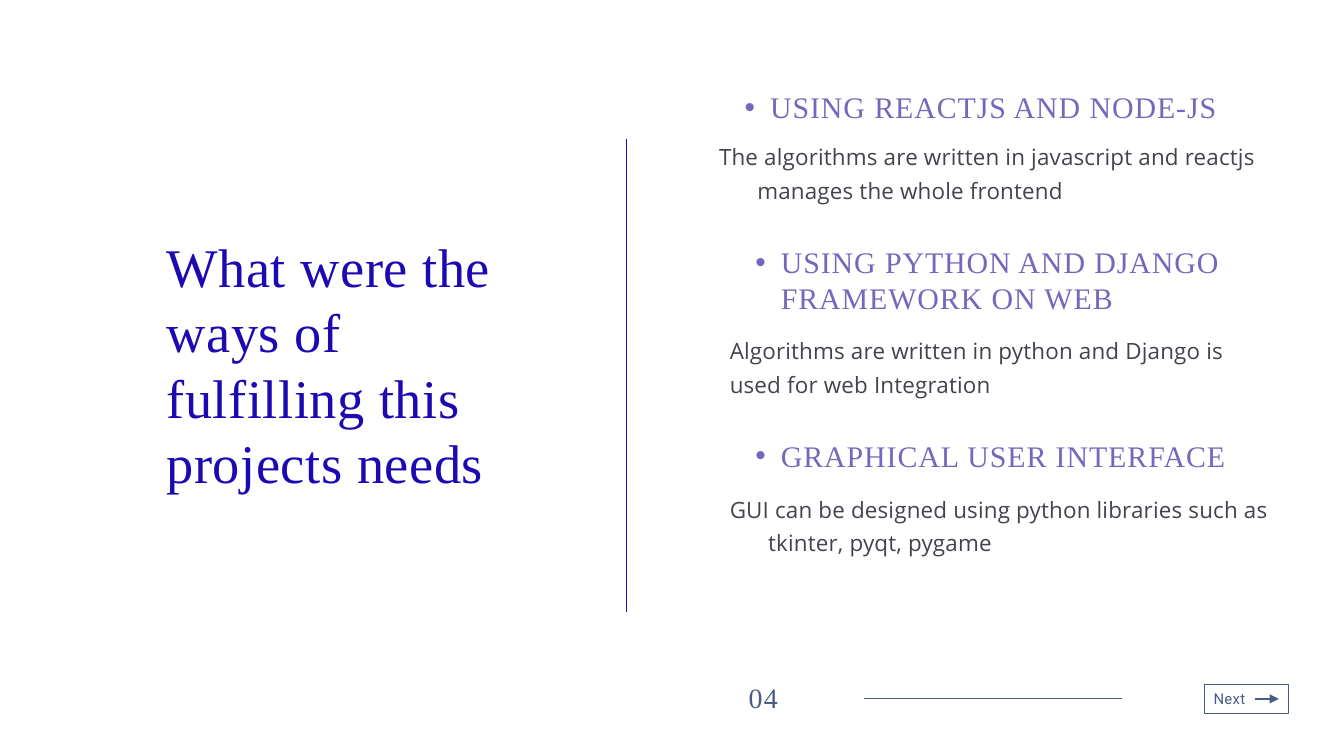
from collections import namedtuple
from dataclasses import dataclass

from lxml.etree import SubElement
from pptx import Presentation
from pptx.dml.color import RGBColor
from pptx.enum.shapes import MSO_CONNECTOR as Connector, MSO_SHAPE as Shape
from pptx.enum.text import MSO_AUTO_SIZE as AutoSize
from pptx.oxml.ns import qn
from pptx.util import Emu, Pt

SCALE = 9144
Box = namedtuple("Box", "left top width height")
Topic = namedtuple("Topic", "box heading_height body_top heading body hanging")


@dataclass(frozen=True)
class Theme:
    title: str = "1C09B2"
    heading: str = "7866BD"
    body: str = "46424C"
    footer: str = "4A5C84"
    serif: str = "Times New Roman"
    sans: str = "Open Sans"
    label: str = "Roboto"
    title_size: float = 58.3
    heading_size: int = 32
    body_size: int = 24
    number_size: int = 30
    label_size: int = 16
    hairline: float = 0.72
    arrow_line: float = 1.44


THEME = Theme()

TOPICS = [
    Topic(Box(1070, 132, 817, 168), 52, 71, "USING REACTJS AND NODE-JS",
          "The algorithms are written in javascript and reactjs "
          "manages the whole frontend", 57),
    Topic(Box(1086, 363, 817, 224), 105, 129,
          "USING PYTHON AND DJANGO FRAMEWORK ON WEB",
          "Algorithms are written in python and Django is "
          "used for web Integration", 0),
    Topic(Box(1086, 651, 817, 172), 52, 77, "GRAPHICAL USER INTERFACE",
          "GUI can be designed using python libraries such as "
          "tkinter, pyqt, pygame", 57),
]


def px(value):
    return Emu(round(value * SCALE))


def add_text(page, box, text, *, font, size, color, leading, spacing,
             margin=0, hanging=0, bullet=None, level=0):
    frame = page.shapes.add_textbox(*map(px, box)).text_frame
    frame.word_wrap = True
    frame.auto_size = AutoSize.SHAPE_TO_FIT_TEXT
    frame.margin_left = frame.margin_top = 0
    frame.margin_right = frame.margin_bottom = 0
    para = frame.paragraphs[0]
    para.level = level
    para.line_spacing = Pt(leading)
    properties = para._p.get_or_add_pPr()
    properties.set("marL", str(px(margin)))
    properties.set("indent", str(px(-hanging)))
    if bullet:
        SubElement(properties, qn("a:buFont")).set("typeface", "Arial")
        SubElement(properties, qn("a:buChar")).set("char", bullet)
    span = para.add_run()
    span.text = text
    span.font.name = font
    span.font.size = Pt(size)
    span.font.color.rgb = RGBColor.from_string(color)
    span._r.get_or_add_rPr().set("spc", str(round(spacing * 100)))


def add_line(page, start, end, color, width, arrow=False):
    line = page.shapes.add_connector(
        Connector.STRAIGHT, *map(px, (*start, *end)))
    line.line.color.rgb = RGBColor.from_string(color)
    line.line.width = Pt(width)
    SubElement(line._element.spPr, qn("a:effectLst"))
    if arrow:
        head = SubElement(line.line._get_or_add_ln(), qn("a:tailEnd"))
        for name, value in (("type", "triangle"), ("w", "lg"), ("len", "lg")):
            head.set(name, value)


def add_title(page, box):
    add_text(page, box, "What were the ways of fulfilling this projects needs",
             font=THEME.serif, size=THEME.title_size, color=THEME.title,
             leading=70, spacing=0.6)


def add_topic(page, topic):
    left, top, width, height = topic.box
    add_text(page, Box(left, top, width, topic.heading_height), topic.heading,
             font=THEME.serif, size=THEME.heading_size, color=THEME.heading,
             leading=38.4, spacing=1, margin=76, hanging=38, bullet="•", level=1)
    body_box = Box(left, top + topic.body_top, width, height - topic.body_top)
    add_text(page, body_box, topic.body,
             font=THEME.sans, size=THEME.body_size, color=THEME.body,
             leading=36, spacing=0.2, margin=topic.hanging, hanging=topic.hanging)


def add_next_button(page, box):
    left, top, width, height = box
    frame = page.shapes.add_shape(Shape.RECTANGLE, *map(px, box))
    frame.shadow.inherit = False
    frame.fill.background()
    frame.line.color.rgb = RGBColor.from_string(THEME.footer)
    frame.line.width = Pt(THEME.hairline)
    middle = top + height / 2
    add_line(page, (left + 76, middle), (left + 111, middle),
             THEME.footer, THEME.arrow_line, arrow=True)
    add_text(page, Box(left + 14, top + 9, 58, 25), "Next",
             font=THEME.label, size=THEME.label_size, color=THEME.footer,
             leading=17.6, spacing=0.3)


def add_footer(page, box):
    left, top, width, height = box
    add_text(page, Box(left, top, 49, height), "04",
             font=THEME.serif, size=THEME.number_size, color=THEME.footer,
             leading=33, spacing=1.5)
    add_line(page, (left + 171, top + 22.5), (left + 556, top + 22.5),
             THEME.footer, THEME.hairline)
    add_next_button(page, Box(left + width - 125, top + 2, 125, 42))


def main():
    deck = Presentation()
    deck.slide_width, deck.slide_height = px(2000), px(1125)
    page = deck.slides.add_slide(deck.slide_layouts[6])
    for topic in TOPICS:
        add_topic(page, topic)
    add_title(page, Box(248, 347, 518, 390))
    add_line(page, (932.5, 207), (932.5, 910), THEME.title, THEME.hairline)
    add_footer(page, Box(1114, 1017, 803, 48))
    deck.save("out.pptx")


if __name__ == "__main__":
    main()
